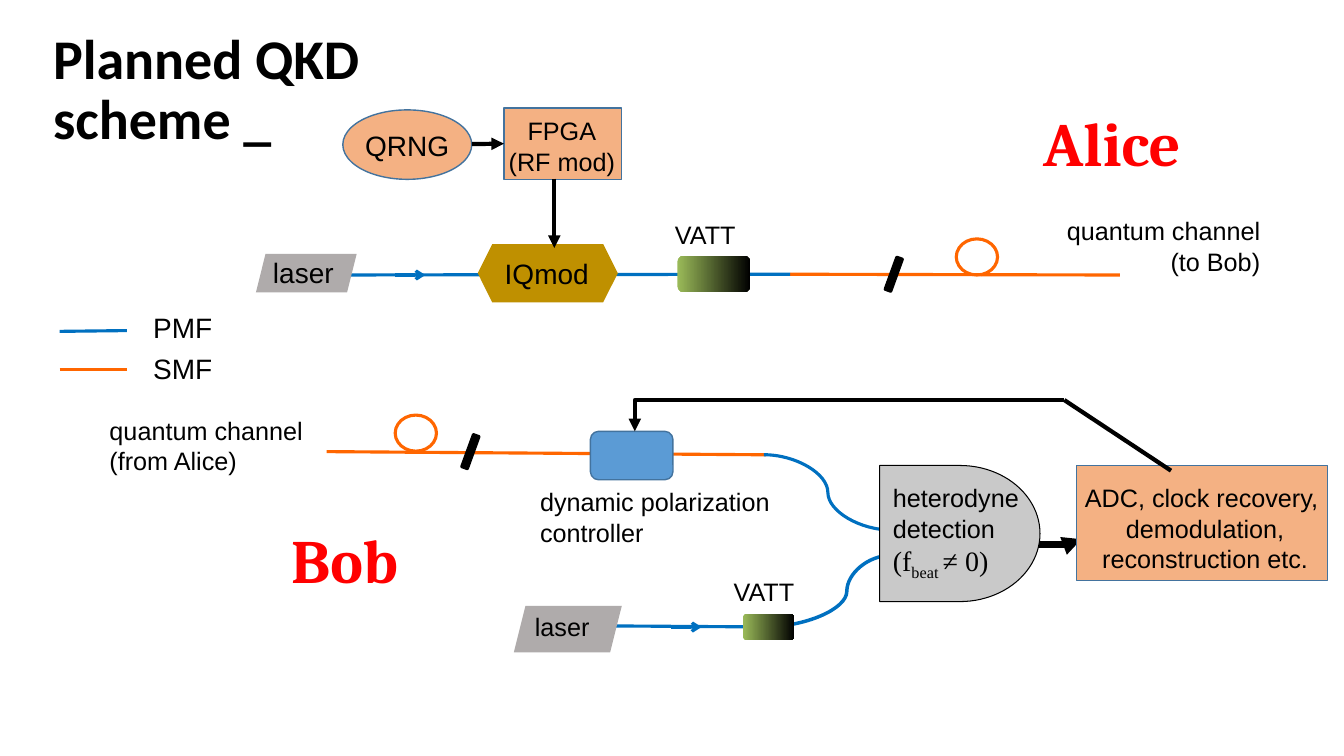
"""Build the slide of the planned QKD scheme with Alice's sender and Bob's receiver."""
from dataclasses import dataclass

from lxml import etree
from pptx import Presentation
from pptx.dml.color import RGBColor
from pptx.enum import shapes, text
from pptx.oxml import ns
from pptx.util import Cm, Pt


@dataclass(frozen=True)
class Theme:
    ink: str = "000000"
    pmf: str = "0070C0"
    smf: str = "FF6600"
    laser: str = "AFABAB"
    modulator: str = "BF9000"
    electronics: str = "F4B183"
    detector: str = "C9C9C9"
    controller: str = "5B9BD5"
    outline: str = "43739E"
    attenuator: str = "9BBB59"
    party: str = "FF0000"
    body: str = "Arial"
    heading: str = "Calibri"
    party_font: str = "Cambria"
    formula: str = "Times New Roman"
    small: int = 18
    normal: int = 20
    title: int = 40
    name: int = 44


theme = Theme()
kinds = shapes.MSO_SHAPE
left, center, right = text.PP_ALIGN.LEFT, text.PP_ALIGN.CENTER, text.PP_ALIGN.RIGHT
straight, elbow, curve = (
    shapes.MSO_CONNECTOR.STRAIGHT, shapes.MSO_CONNECTOR.ELBOW, shapes.MSO_CONNECTOR.CURVE)

deck = Presentation()
deck.slide_width, deck.slide_height = Cm(33.87), Cm(19.05)
page = deck.slides.add_slide(deck.slide_layouts[6])


def add_line(start, end, color, width, head=None, kind=straight):
    """Draw a connector, with an arrowhead at its end if one is named."""
    line = page.shapes.add_connector(kind, *map(Cm, start + end))
    line.line.color.rgb = RGBColor.from_string(color)
    line.line.width = Pt(width)
    if head:
        etree.SubElement(line.line._get_or_add_ln(), ns.qn("a:tailEnd"), type=head)
    etree.SubElement(line._element.spPr, ns.qn("a:effectLst"))
    return line


def add_label(words, place, size=theme.small, align=left, font=theme.body, color=theme.ink):
    """Write a text box that does not wrap."""
    box = page.shapes.add_textbox(*map(Cm, place))
    box.text_frame.text = words
    box.text_frame.word_wrap = False
    for para in box.text_frame.paragraphs:
        para.alignment = align
        for span in para.runs:
            span.font.size, span.font.name = Pt(size), font
            span.font.color.rgb = RGBColor.from_string(color)
    return box


for start, end, color, head in [
    ((1.5, 8.35), (3.2, 8.33), theme.pmf, None),
    ((1.5, 9.32), (3.2, 9.32), theme.smf, None),
    ((19.91, 6.91), (28.22, 6.93), theme.smf, None),
    ((8.23, 6.93), (19.91, 6.91), theme.pmf, None),
    ((9.96, 6.93), (10.72, 6.93), theme.pmf, "arrow"),
    ((15.09, 15.77), (19.56, 15.8), theme.pmf, None),
    ((16.92, 15.8), (17.68, 15.8), theme.pmf, "arrow"),
    ((8.23, 11.38), (19.3, 11.46), theme.smf, None),
]:
    add_line(start, end, color, 2.25, head)

add_line((22.48, 13.36), (19.25, 11.46), theme.pmf, 2.25, kind=curve)
laser_curve = add_line((19.25, 15.8), (22.43, 14), theme.pmf, 2.5, kind=curve)
bend = laser_curve._element.spPr.find(ns.qn("a:prstGeom")).get_or_add_avLst()
etree.SubElement(bend, ns.qn("a:gd"), name="adj1", fmla="val 65800")

detector_arrow = add_line((25.73, 13.72), (27.25, 13.59), theme.ink, 4.5, "triangle", elbow)

parts = {}
for name, kind, place, fill, outline, width in [
    ("alice laser", kinds.PARALLELOGRAM, (6.45, 6.4, 2.54, 0.97), theme.laser, None, 0),
    ("bob laser", kinds.PARALLELOGRAM, (12.95, 15.27, 2.72, 1.17), theme.laser, None, 0),
    ("modulator", kinds.HEXAGON, (12.04, 6.15, 3.53, 1.47), theme.modulator, None, 0),
    ("fpga", kinds.RECTANGLE, (12.7, 2.72, 2.97, 1.8), theme.electronics, theme.outline, 1),
    ("qrng", kinds.OVAL, (8.64, 2.77, 3.25, 1.75), theme.electronics, theme.outline, 1),
    ("alice vatt", kinds.ROUNDED_RECTANGLE, (17.07, 6.45, 1.83, 0.91), "gradient", None, 0),
    ("bob vatt", kinds.ROUNDED_RECTANGLE, (18.72, 15.47, 1.3, 0.66), "gradient", None, 0),
    ("alice loop", kinds.OVAL, (24.1, 6.02, 1.04, 0.91), None, theme.smf, 2.25),
    ("bob loop", kinds.OVAL, (9.96, 10.46, 1.04, 0.91), None, theme.smf, 2.25),
    ("alice slit", kinds.ROUNDED_RECTANGLE, (22.07, 6.81, 0.91, 0.2), theme.ink, theme.ink, 0.75),
    ("bob slit", kinds.ROUNDED_RECTANGLE, (11.4, 11.28, 0.91, 0.2), theme.ink, theme.ink, 0.75),
    ("detector", kinds.FLOWCHART_DELAY, (22.17, 11.73, 4.04, 3.43), theme.detector, theme.ink, 0.75),
    ("controller", kinds.ROUNDED_RECTANGLE, (14.88, 10.87, 2.08, 1.22),
     theme.controller, theme.outline, 1),
    ("adc", kinds.RECTANGLE, (27.13, 11.73, 6.32, 2.9), theme.electronics, theme.outline, 1),
]:
    part = page.shapes.add_shape(kind, *map(Cm, place))
    part.shadow.inherit = False
    if fill == "gradient":
        part.fill.gradient()
        part.fill.gradient_angle = 0
        for stop, color in zip(part.fill.gradient_stops, (theme.attenuator, theme.ink)):
            stop.color.rgb = RGBColor.from_string(color)
    elif fill:
        part.fill.solid()
        part.fill.fore_color.rgb = RGBColor.from_string(fill)
    else:
        part.fill.background()
    if outline:
        part.line.color.rgb = RGBColor.from_string(outline)
        part.line.width = Pt(width)
    else:
        part.line.fill.background()
    if name.endswith("slit"):
        part.rotation = 290
    parts[name] = part

random_arrow = add_line((11.89, 3.63), (12.67, 3.63), theme.ink, 3, "triangle")
random_arrow.end_connect(parts["fpga"], 1)
add_line((13.97, 4.5), (13.97, 6.25), theme.ink, 3, "triangle")
feedback = add_line((26.82, 10.08), (16, 10.87), theme.ink, 3, "triangle", elbow)
add_line((26.82, 10.08), (29.51, 11.86), theme.ink, 3)
for bent in (detector_arrow, feedback):
    bent._element.spPr.find(ns.qn("a:prstGeom")).set("prst", "bentConnector2")

for words, place, size, align in [
    ("IQmod", (12.47, 6.35, 3.2, 1.14), theme.normal, left),
    ("laser", (6.63, 6.32, 2.41, 1.09), theme.normal, left),
    ("laser", (13.23, 15.29, 2.62, 0.91), theme.small, left),
    ("quantum channel \n(to Bob)", (26.47, 5.31, 5.54, 2.18), theme.small, right),
    ("quantum channel\n(from Alice)", (2.51, 10.34, 5.66, 2.18), theme.small, left),
    ("FPGA\n(RF mod)", (12.16, 2.79, 4, 1.57), theme.small, center),
    ("QRNG", (8.03, 3.12, 4.47, 1.55), theme.normal, center),
    ("VATT", (16.76, 5.41, 2.41, 1.17), theme.small, left),
    ("VATT", (18.24, 14.4, 2.41, 1.17), theme.small, left),
    ("dynamic polarization\ncontroller", (13.36, 12.14, 6.3, 1.93), theme.small, left),
    ("ADC, clock recovery, \ndemodulation,\nreconstruction etc.",
     (26.87, 12.04, 7, 2.44), theme.small, center),
]:
    add_label(words, place, size, align)

legend = add_label("PMF\nSMF", (3.61, 7.7, 3.25, 2.31), theme.normal)
legend.text_frame.paragraphs[1].space_before = Pt(5)

detection = add_label("heterodyne detection", (22.25, 12.04, 4.6, 3.51))
detection.text_frame.word_wrap = True
condition = detection.text_frame.add_paragraph()
for words, baseline in [("(f", 0), ("beat ", -25000), ("≠ 0)", 0)]:
    span = condition.add_run()
    span.text = words
    span.font.size, span.font.name = Pt(theme.normal), theme.formula
    span.font.color.rgb = RGBColor.from_string(theme.ink)
    span._r.get_or_add_rPr().set("baseline", str(baseline))

title = add_label("Planned QKD \vscheme _", (1.09, 0.46, 29.21, 3.68), theme.title,
                  font=theme.heading)
title.text_frame.word_wrap = True
title.text_frame.vertical_anchor = text.MSO_ANCHOR.MIDDLE
title.text_frame.paragraphs[0].line_spacing = 0.9
bob = add_label("Bob", (7.09, 13.03, 3.35, 2.13), theme.name, left, theme.party_font, theme.party)
alice = add_label("Alice", (26.04, 2.51, 4.06, 2.13), theme.name, left, theme.party_font, theme.party)
for box in (title, bob, alice):
    for span in box.text_frame.paragraphs[0].runs:
        span.font.bold = True

deck.save("out.pptx")
